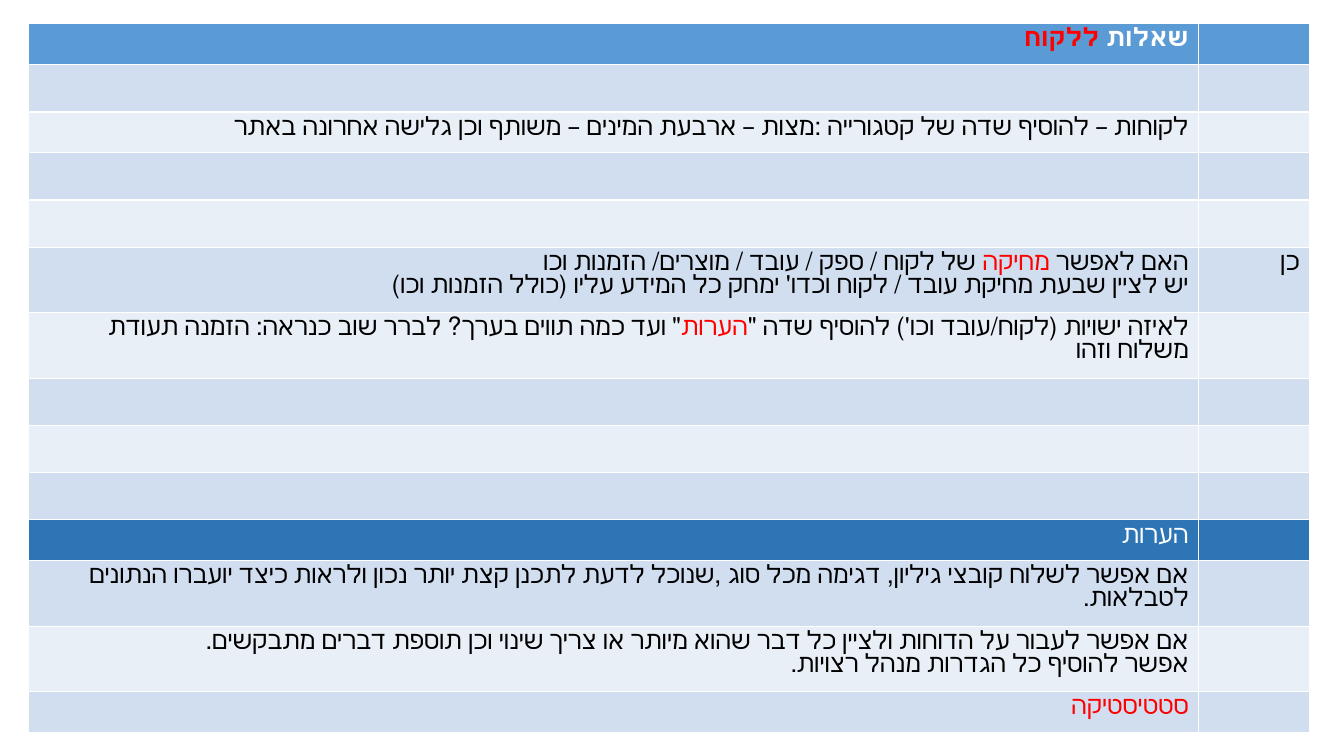
from dataclasses import dataclass

from pptx import Presentation
from pptx.dml.color import RGBColor
from pptx.enum.text import PP_ALIGN
from pptx.table import _Cell
from pptx.text.text import _Paragraph
from pptx.util import Cm, Pt

RIGHT = PP_ALIGN.RIGHT

BLACK, WHITE, RED = "000000", "FFFFFF", "FF0000"
HEADER_BLUE, NOTES_BLUE = "5B9BD5", "2E75B6"
BANDS = ("E9EFF7", "D1DEEF")

SINGLE, SPACER, DOUBLE = Cm(0.96), Cm(1.19), Cm(1.65)
COLUMN_WIDTHS = (Cm(29.49), Cm(2.79))


@dataclass(frozen=True)
class Piece:
    text: str
    color: str = BLACK


Line = tuple[Piece, ...]


@dataclass(frozen=True)
class Row:
    height: int = SPACER
    question: tuple[Line, ...] = ()
    answer: tuple[Line, ...] = ()
    fill: str = ""
    bold: bool = False


ROWS = (
    Row(SINGLE, ((Piece("שאלות ", WHITE), Piece("ללקוח", RED)),),
        fill=HEADER_BLUE, bold=True),
    Row(),
    Row(SINGLE, ((Piece("לקוחות – להוסיף שדה של קטגורייה :מצות – ארבעת המינים – "
                        "משותף וכן גלישה אחרונה באתר"),),)),
    Row(),
    Row(),
    Row(DOUBLE, (
        (Piece("האם לאפשר "), Piece("מחיקה", RED),
         Piece(" של לקוח / ספק / עובד / מוצרים/ הזמנות וכו ")),
        (Piece("יש לציין שבעת מחיקת עובד / לקוח וכדו' ימחק כל המידע עליו "
               "(כולל הזמנות וכו)"),),
    ), answer=((Piece("כן"),),)),
    Row(DOUBLE, ((
        Piece("לאיזה ישויות (לקוח/עובד וכו') להוסיף שדה \""), Piece("הערות", RED),
        Piece("\" ועד כמה תווים בערך? לברר שוב כנראה: הזמנה תעודת משלוח וזהו"),
    ),)),
    Row(),
    Row(),
    Row(),
    Row(SINGLE, ((Piece("הערות", WHITE),),), fill=NOTES_BLUE),
    Row(DOUBLE, ((Piece("אם אפשר לשלוח קובצי גיליון, דגימה מכל סוג ,שנוכל לדעת לתכנן "
                        "קצת יותר נכון ולראות כיצד יועברו הנתונים לטבלאות."),),)),
    Row(DOUBLE, (
        (Piece("אם אפשר לעבור על הדוחות ולציין כל דבר שהוא מיותר או צריך שינוי "
               "וכן תוספת דברים מתבקשים."),),
        (Piece("אפשר להוסיף כל הגדרות מנהל רצויות."),),
    )),
    Row(SINGLE, ((Piece("סטטיסטיקה", RED),),)),
)


def rgb(color: str) -> RGBColor:
    return RGBColor.from_string(color)


def write_line(paragraph: _Paragraph, line: Line, bold: bool) -> None:
    paragraph.alignment = RIGHT
    paragraph.line_spacing = 0.9
    paragraph._p.get_or_add_pPr().set("rtl", "1")
    paragraph.font.name = "Calibri"
    paragraph.font.size = Pt(18)
    paragraph.font.bold = bold
    for piece in line:
        run = paragraph.add_run()
        run.text = piece.text
        run.font.color.rgb = rgb(piece.color)


def fill_cell(cell: _Cell, lines: tuple[Line, ...], fill: str, bold: bool) -> None:
    cell.fill.solid()
    cell.fill.fore_color.rgb = rgb(fill)
    frame = cell.text_frame
    for index, line in enumerate(lines or ((),)):
        paragraph = frame.add_paragraph() if index else frame.paragraphs[0]
        write_line(paragraph, line, bold)


def main() -> None:
    presentation = Presentation()
    presentation.slide_width = Cm(33.87)
    presentation.slide_height = Cm(19.05)
    slide = presentation.slides.add_slide(presentation.slide_layouts[6])

    questions = slide.shapes.add_table(
        len(ROWS), len(COLUMN_WIDTHS), Cm(0.72), Cm(0.6),
        sum(COLUMN_WIDTHS), sum(row.height for row in ROWS)).table
    for column, width in zip(questions.columns, COLUMN_WIDTHS):
        column.width = width
    for index, row in enumerate(ROWS):
        questions.rows[index].height = row.height
        fill = row.fill or BANDS[index % 2]
        for column_index, lines in enumerate((row.question, row.answer)):
            fill_cell(questions.cell(index, column_index), lines, fill, row.bold)

    presentation.save("out.pptx")


if __name__ == "__main__":
    main()
